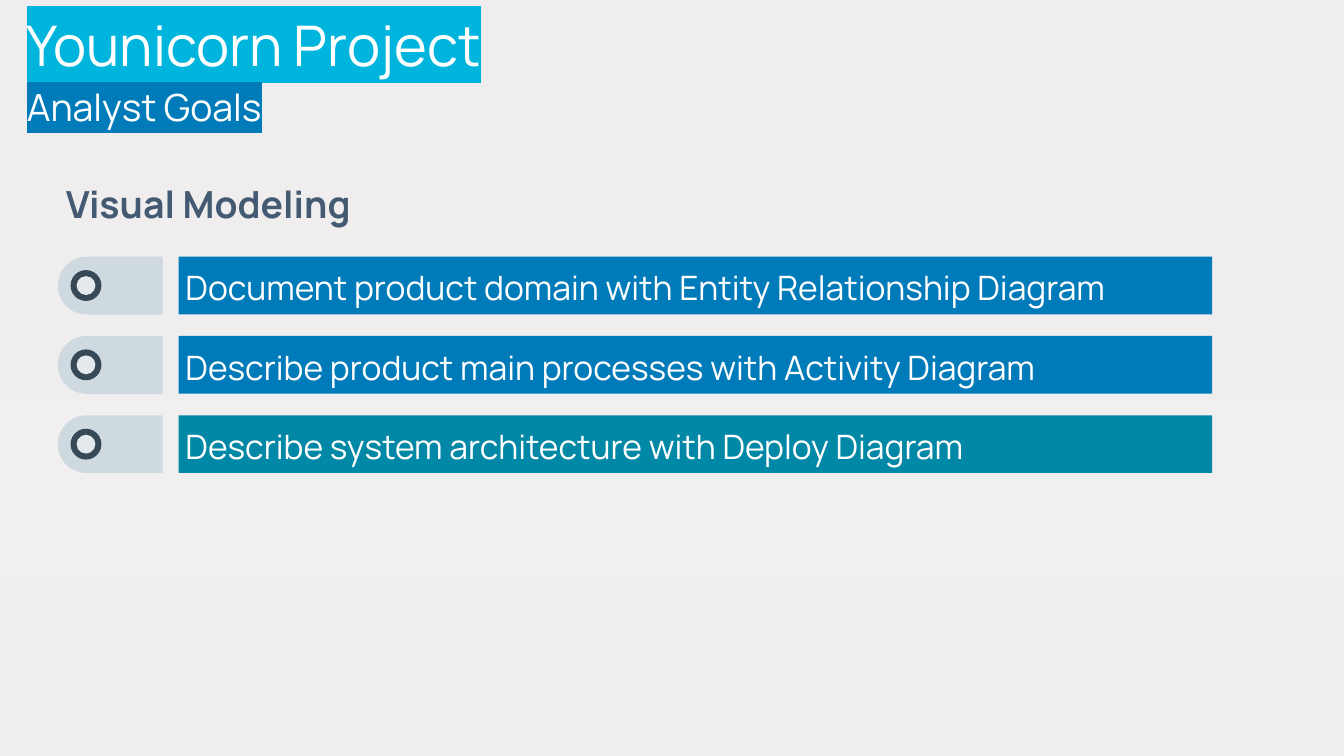
from lxml.etree import SubElement
from pptx import Presentation
from pptx.dml.color import RGBColor
from pptx.enum.shapes import MSO_SHAPE as Kind
from pptx.enum.text import MSO_ANCHOR as Anchor, MSO_AUTO_SIZE as Fit, PP_ALIGN as Align
from pptx.oxml.ns import qn
from pptx.util import Inches, Pt

HEAD = [
    ("Younicorn Project", 30, "00B5DD"),
    ("Analyst Goals", 20, "007BB9"),
]
TOOL = "Visual Modeling"
GOALS = [
    ("Document product domain with Entity Relationship Diagram", "007BB9"),
    ("Describe product main processes with Activity Diagram", "007BB9"),
    ("Describe system architecture with Deploy Diagram", "0088A6"),
]
STOPS = [(0, "EFEDEE"), (53, "F1EFF0"), (77, "EFEDEE"), (100, "EFEBEC")]

WIDTH = 10
TOP, STEP, BAR = 1.91, 0.59, 0.43
TAB_LEFT, TAB_LEN = 0.43, 0.78


def tint(fill, color):
    fill.solid()
    fill.fore_color.rgb = RGBColor.from_string(color)


def draw(kind, left, top, width, height, color):
    shape = slide.shapes.add_shape(
        kind, Inches(left), Inches(top), Inches(width), Inches(height))
    shape.shadow.inherit = False
    shape.line.fill.background()
    tint(shape.fill, color)
    return shape


def setup(frame, anchor):
    frame.word_wrap = True
    frame.auto_size = Fit.NONE
    frame.vertical_anchor = anchor
    frame.margin_left = frame.margin_right = 0
    frame.margin_top = frame.margin_bottom = 0


def write(para, text, size, color="FFFFFF", bold=False, gap=1.1, mark=None):
    """Fill a paragraph; mark is the highlight colour behind the text."""
    para.alignment = Align.LEFT
    para.line_spacing = gap
    run = para.add_run()
    run.text = text
    font = run.font
    font.name, font.size, font.bold = "Manrope", Pt(size), bold
    tint(font.fill, color)
    if mark:
        props = run._r.get_or_add_rPr()
        light = SubElement(props, qn("a:highlight"))
        SubElement(light, qn("a:srgbClr"), val=mark)
        props.find(qn("a:solidFill")).addnext(light)


def label(text, left, top, width, **form):
    box = slide.shapes.add_textbox(
        Inches(left), Inches(top), Inches(width), Inches(BAR))
    setup(box.text_frame, Anchor.MIDDLE)
    write(box.text_frame.paragraphs[0], text, **form)


def paint():
    """Give the slide its vertical gradient."""
    fill = slide.background.fill
    fill.gradient()
    fill.gradient_angle = 270
    stops = next(slide.element.iter(qn("a:gsLst")))
    for stop in list(stops):
        stops.remove(stop)
    for place, color in STOPS:
        stop = SubElement(stops, qn("a:gs"), pos=str(place * 1000))
        SubElement(stop, qn("a:srgbClr"), val=color)


def switch(mid):
    """Draw the round-ended tab and its ring, centred on height mid."""
    tab = draw(Kind.ROUND_2_SAME_RECTANGLE, TAB_LEFT + (TAB_LEN - BAR) / 2,
               mid - TAB_LEN / 2, BAR, TAB_LEN, "CFD9E0")
    tab.adjustments[0] = 0.5
    tab.rotation = 270
    for size, color in [(0.23, "374957"), (0.14, "E3E9ED")]:
        draw(Kind.OVAL, 0.64 - size / 2, mid - size / 2, size, size, color)


deck = Presentation()
deck.slide_width, deck.slide_height = Inches(WIDTH), Inches(WIDTH * 9 / 16)
slide = deck.slides.add_slide(deck.slide_layouts[5])
paint()

title = slide.shapes.title
title.left, title.top = Inches(0.2), Inches(0)
title.width, title.height = Inches(5.83), Inches(1.11)
frame = title.text_frame
setup(frame, Anchor.TOP)
for i, (text, size, mark) in enumerate(HEAD):
    para = frame.add_paragraph() if i else frame.paragraphs[0]
    write(para, text, size, gap=1.15, mark=mark)

label(TOOL, 0.49, 1.28, 4.03, size=20, color="435A72", bold=True)
for i, (text, color) in enumerate(GOALS):
    top = TOP + i * STEP
    draw(Kind.RECTANGLE, 1.33, top, 7.69, BAR, color)
    switch(top + BAR / 2)
    label(text, 1.38, top, 7.48, size=18)

deck.save("out.pptx")
